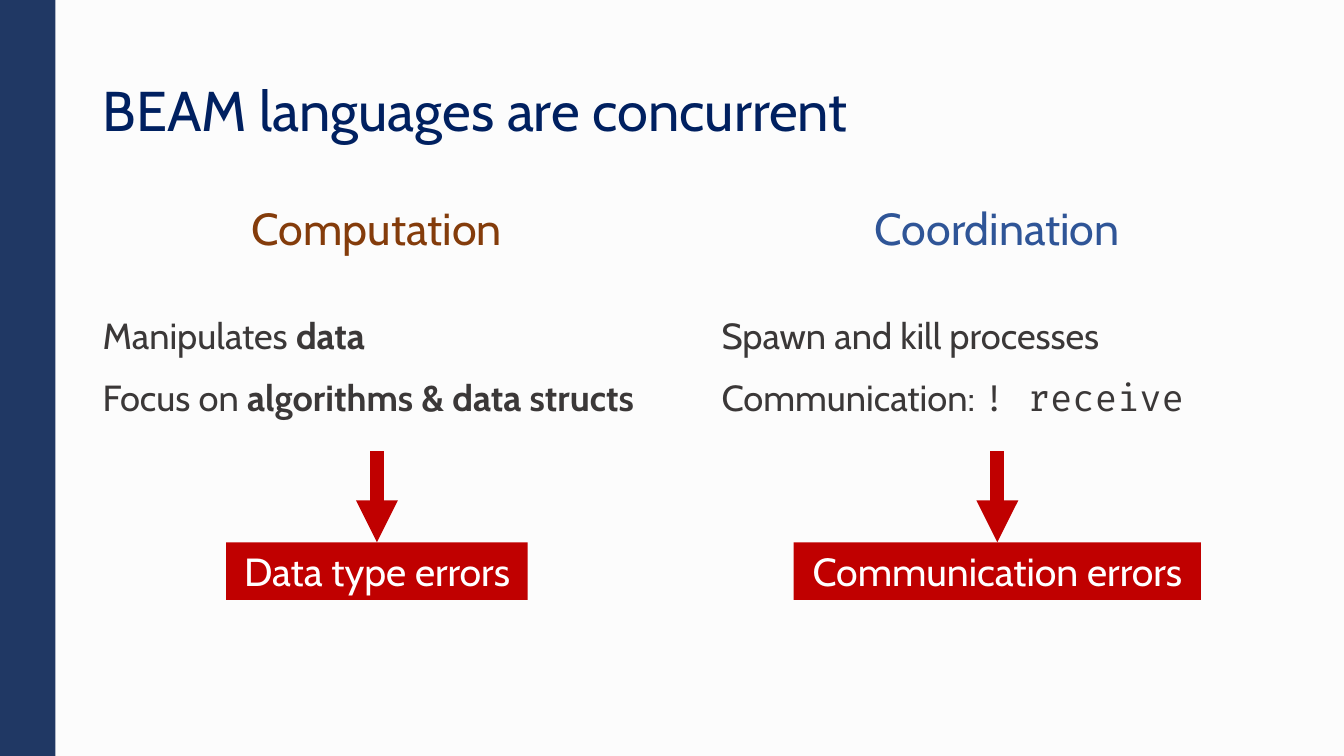
"""Build a slide contrasting computation and coordination in BEAM languages."""
from lxml.etree import SubElement
from pptx import Presentation
from pptx.dml.color import RGBColor
from pptx.enum.shapes import MSO_CONNECTOR as Connector, MSO_SHAPE as Shape
from pptx.enum.text import MSO_ANCHOR as Anchor, PP_ALIGN as Align
from pptx.oxml.ns import qn
from pptx.util import Pt

PAPER = RGBColor(0xFC, 0xFC, 0xFC)
NAVY = RGBColor(0x20, 0x38, 0x64)
TITLE_BLUE = RGBColor(0x00, 0x20, 0x60)
BROWN = RGBColor(0x84, 0x3C, 0x0B)
BLUE = RGBColor(0x2F, 0x55, 0x97)
GRAY = RGBColor(0x3B, 0x38, 0x38)
RED = RGBColor(0xC0, 0x00, 0x00)
WHITE = RGBColor(0xFF, 0xFF, 0xFF)
SANS, CODE = "Cabin", "Fira Code"

TITLE = "BEAM languages are concurrent"
BOLD, MONO = {"bold": True}, {"name": CODE}
COLUMNS = [
    {"left": 66.24, "width": 406, "heading": "Computation", "color": BROWN,
     "points": [[("Manipulates ", {}), ("data", BOLD)],
                [("Focus on ", {}), ("algorithms & data structs", BOLD)]],
     "error": "Data type errors", "error_width": 215.3},
    {"left": 508.3, "width": 408.2, "heading": "Coordination", "color": BLUE,
     "points": [[("Spawn and kill processes", {})],
                [("Communication: ", {}), ("! receive", MONO)]],
     "error": "Communication errors", "error_width": 290.9},
]
PAGE_WIDTH, PAGE_HEIGHT = 960, 540
HEADING_TOP, HEADING_HEIGHT = 132.5, 64.8
POINTS_TOP, POINTS_HEIGHT = 223.9, 98.6
ERROR_TOP, ERROR_HEIGHT = 387.4, 41.2


def write(box, paragraphs, size, color, align=Align.LEFT, anchor=Anchor.MIDDLE,
          spacing=0.9, wrap=True):
    frame = box.text_frame
    frame.word_wrap = wrap
    frame.vertical_anchor = anchor
    for index, spans in enumerate(paragraphs):
        para = frame.add_paragraph() if index else frame.paragraphs[0]
        para.alignment = align
        para.line_spacing = spacing
        para.space_before = Pt(16 if index else 0)
        for text, changes in spans:
            span = para.add_run()
            span.text = text
            span.font.color.rgb = color
            style = {"name": SANS, "size": Pt(size), "bold": False, **changes}
            for key, value in style.items():
                setattr(span.font, key, value)


def add_text(page, place, *content, **layout):
    box = page.shapes.add_textbox(*map(Pt, place))
    write(box, *content, **layout)
    return box


def add_block(page, place, color):
    block = page.shapes.add_shape(Shape.RECTANGLE, *map(Pt, place))
    block.shadow.inherit = False
    block.fill.solid()
    block.fill.fore_color.rgb = color
    block.line.fill.background()
    return block


def add_arrow(page, source, target):
    arrow = page.shapes.add_connector(Connector.STRAIGHT, 0, 0, 0, 0)
    arrow.begin_connect(source, 2)
    arrow.end_connect(target, 0)
    arrow.line.color.rgb = RED
    arrow.line.width = Pt(10)
    SubElement(arrow.line._get_or_add_ln(), qn("a:tailEnd"), type="triangle")
    SubElement(arrow._element.spPr, qn("a:effectLst"))


def add_column(page, column):
    left, width = column["left"], column["width"]
    add_text(page, (left, HEADING_TOP, width, HEADING_HEIGHT),
             [[(column["heading"], {})]], 32, column["color"], align=Align.CENTER)
    points = add_text(page, (left, POINTS_TOP, width, POINTS_HEIGHT),
                      column["points"], 25.9, GRAY, anchor=Anchor.TOP)
    error_left = left + (width - column["error_width"]) / 2
    error = add_block(page, (error_left, ERROR_TOP, column["error_width"], ERROR_HEIGHT), RED)
    write(error, [[(column["error"], {})]], 28, WHITE,
          align=Align.CENTER, spacing=1.0, wrap=False)
    add_arrow(page, points, error)


def main():
    deck = Presentation()
    deck.slide_width, deck.slide_height = Pt(PAGE_WIDTH), Pt(PAGE_HEIGHT)
    page = deck.slides.add_slide(deck.slide_layouts[6])
    page.background.fill.solid()
    page.background.fill.fore_color.rgb = PAPER
    add_block(page, (0, 0, 39.6, PAGE_HEIGHT), NAVY)
    add_text(page, (66.24, 28.8, 850.3, 104.4), [[(TITLE, {})]], 40, TITLE_BLUE)
    for column in COLUMNS:
        add_column(page, column)
    deck.save("out.pptx")


if __name__ == "__main__":
    main()
